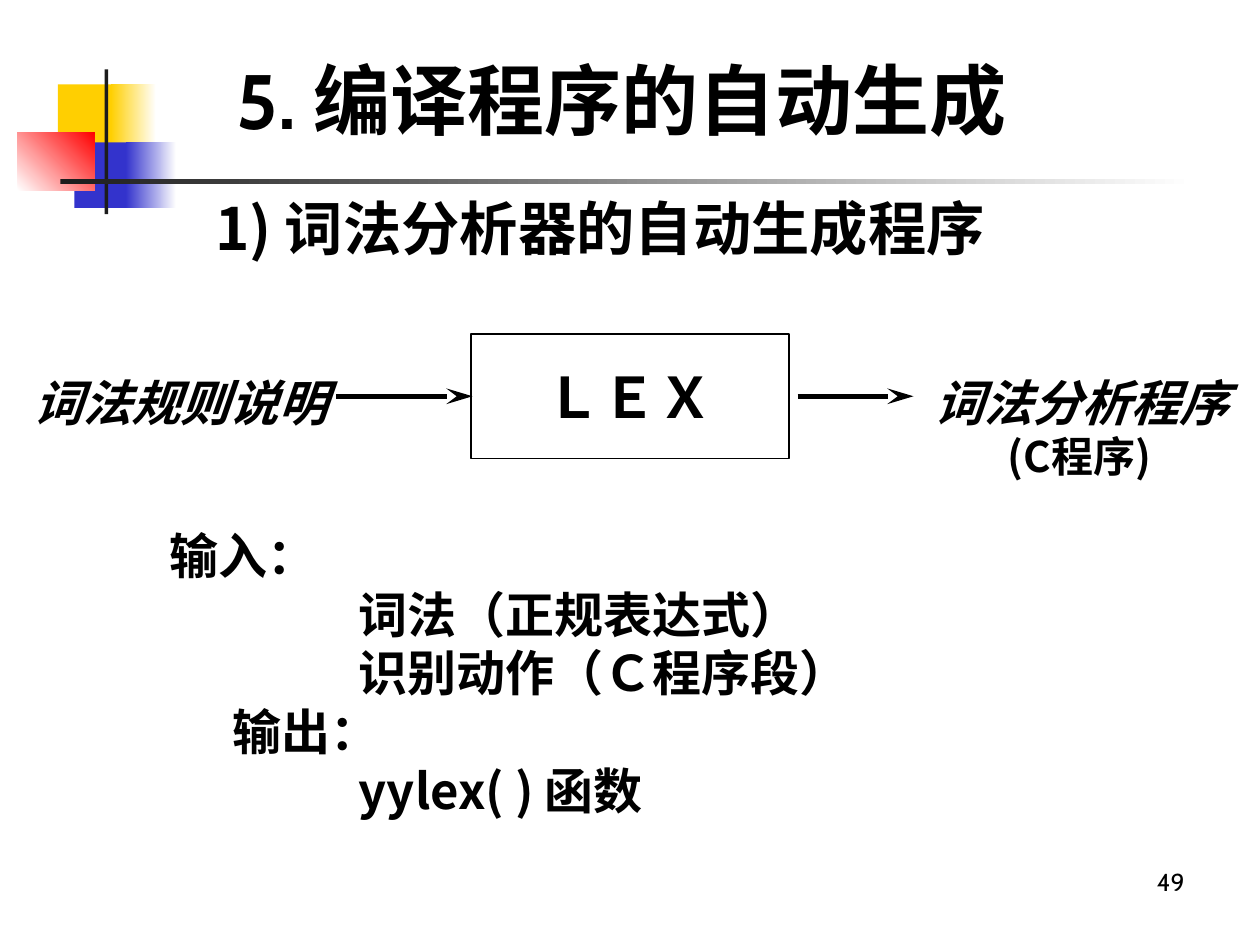
from dataclasses import dataclass

from lxml.etree import SubElement
from pptx import Presentation
from pptx.dml.color import RGBColor
from pptx.enum.shapes import MSO_CONNECTOR, MSO_SHAPE
from pptx.enum.text import MSO_ANCHOR, MSO_AUTO_SIZE, PP_ALIGN
from pptx.oxml.ns import qn
from pptx.util import Inches, Pt


@dataclass(frozen=True)
class Theme:
    ink: str = "000000"
    bar: str = "1C1C1C"
    paper: str = "FFFFFF"
    yellow: str = "FFCF01"
    blue: str = "3333CC"
    red: str = "FF0000"
    title_font: str = "Cabin"
    cjk_font: str = "Noto Sans CJK SC"
    label_font: str = "Times New Roman"
    title_size: float = 44
    heading_size: float = 33.3
    tool_size: float = 32
    text_size: float = 28
    note_size: float = 24
    number_size: float = 14


THEME = Theme()


def color(value):
    return RGBColor.from_string(value)


def place(shape, box):
    shape.left, shape.top, shape.width, shape.height = map(Inches, box)


def add_run(paragraph, text, size, font, bold=True, italic=False):
    run = paragraph.add_run()
    run.text = text
    run.font.size = Pt(size)
    run.font.name = font
    run.font.bold = bold
    run.font.italic = italic
    run.font.color.rgb = color(THEME.ink)
    east_asian = SubElement(run.font._element, qn("a:ea"))
    east_asian.set("typeface", THEME.cjk_font)


def add_text(slide, box, text, size, font, align=PP_ALIGN.LEFT, **style):
    shape = slide.shapes.add_textbox(*map(Inches, box))
    shape.text_frame.word_wrap = True
    paragraph = shape.text_frame.paragraphs[0]
    paragraph.alignment = align
    add_run(paragraph, text, size, font, **style)
    return shape


def add_block(slide, box, start, end=None, angle=0):
    """Add a borderless rectangle, plain or fading from start to end."""
    shape = slide.shapes.add_shape(MSO_SHAPE.RECTANGLE, *map(Inches, box))
    shape.shadow.inherit = False
    shape.line.fill.background()
    if end is None:
        shape.fill.solid()
        shape.fill.fore_color.rgb = color(start)
        return
    shape.fill.gradient()
    shape.fill.gradient_angle = angle
    for stop, value, position in zip(shape.fill.gradient_stops, (start, end), (0, 1)):
        stop.color.rgb = color(value)
        stop.position = position


def add_arrow(slide, start, end, y):
    arrow = slide.shapes.add_connector(
        MSO_CONNECTOR.STRAIGHT, Inches(start), Inches(y), Inches(end), Inches(y))
    arrow.line.color.rgb = color(THEME.ink)
    arrow.line.width = Pt(3)
    head = SubElement(arrow.line._get_or_add_ln(), qn("a:tailEnd"))
    for name, value in (("type", "stealth"), ("w", "med"), ("len", "lg")):
        head.set(name, value)
    SubElement(arrow._element.spPr, qn("a:effectLst"))


def add_ornament(slide, box):
    left, top, width, height = box
    block = 0.52
    lower = top + 0.58
    add_block(slide, (left + 0.32, top + 0.12, 0.48, block), THEME.yellow)
    add_block(slide, (left + 0.74, top + 0.12, 0.36, block), THEME.yellow, THEME.paper)
    add_block(slide, (left + 0.45, lower, 0.46, block), THEME.blue)
    add_block(slide, (left + 0.86, lower, 0.4, block), THEME.blue, THEME.paper)
    add_block(slide, (left, top + 0.5, 0.61, 0.46), THEME.paper, THEME.red, 45)
    add_block(slide, (left + 0.69, top, 0.03, height), THEME.bar)
    add_block(slide, (left + 0.34, top + 0.87, width - 0.34, 0.04), THEME.bar, THEME.paper)


def add_title(slide, box):
    title = slide.shapes.title
    place(title, box)
    frame = title.text_frame
    frame.auto_size = MSO_AUTO_SIZE.NONE
    frame.vertical_anchor = MSO_ANCHOR.MIDDLE
    paragraph = frame.paragraphs[0]
    paragraph.alignment = PP_ALIGN.LEFT
    add_run(paragraph, "5. 编译程序的自动生成", THEME.title_size, THEME.title_font)


def add_heading(slide, box):
    heading = add_text(slide, box, "1) 词法分析器的自动生成程序",
                       THEME.heading_size, THEME.cjk_font)
    heading.text_frame.paragraphs[0].line_spacing = 0.9


def add_tool(slide, box):
    shape = slide.shapes.add_shape(MSO_SHAPE.RECTANGLE, *map(Inches, box))
    shape.shadow.inherit = False
    shape.fill.background()
    shape.line.color.rgb = color(THEME.ink)
    shape.line.width = Pt(1)
    frame = shape.text_frame
    frame.word_wrap = False
    frame.vertical_anchor = MSO_ANCHOR.MIDDLE
    paragraph = frame.paragraphs[0]
    paragraph.alignment = PP_ALIGN.CENTER
    add_run(paragraph, "ＬＥＸ", THEME.tool_size, THEME.label_font)


def add_flow(slide, box):
    """Add the row that runs from rules through the tool to the analyser."""
    left, top, width, height = box
    middle = top + height / 2
    label_top = top + 0.26
    add_tool(slide, (left + 3.57, top, 2.52, height))
    add_arrow(slide, left + 2.5, left + 3.58, middle)
    add_arrow(slide, left + 6.16, left + 7.08, middle)
    for text, offset, label_width in (("词法规则说明", 0, 3.44),
                                      ("词法分析程序", 7.15, width - 7.15)):
        add_text(slide, (left + offset, label_top, label_width, 0.57), text,
                 THEME.text_size, THEME.label_font, italic=True)
    add_text(slide, (left + 7.73, top + 0.72, 1.67, 0.5), "(C程序)",
             THEME.note_size, THEME.cjk_font)


def add_input_output(slide, box):
    shape = slide.shapes.add_textbox(*map(Inches, box))
    frame = shape.text_frame
    frame.word_wrap = True
    lines = (("输入：", 0), ("词法（正规表达式）", 1.5), ("识别动作（Ｃ程序段）", 1.5),
             ("输出：", 0.5), ("yylex( ) 函数", 1.5))
    for index, (text, indent) in enumerate(lines):
        paragraph = frame.add_paragraph() if index else frame.paragraphs[0]
        properties = paragraph._p.get_or_add_pPr()
        properties.set("marL", str(Inches(indent)))
        properties.set("indent", "0")
        add_run(paragraph, text, THEME.text_size, THEME.cjk_font)


def main():
    presentation = Presentation()
    presentation.slide_width = Inches(10)
    presentation.slide_height = Inches(7.5)
    slide = presentation.slides.add_slide(presentation.slide_layouts[5])
    add_ornament(slide, (0.14, 0.55, 9.34, 1.15))
    add_text(slide, (7.17, 6.83, 2.33, 0.52), "49", THEME.number_size,
             THEME.title_font, PP_ALIGN.RIGHT, bold=False)
    add_title(slide, (1.78, 0.44, 7.7, 0.69))
    add_heading(slide, (1.61, 1.54, 7.16, 0.75))
    add_flow(slide, (0.17, 2.65, 9.83, 0.99))
    add_input_output(slide, (1.25, 4.12, 6.02, 2.44))
    presentation.save("out.pptx")


if __name__ == "__main__":
    main()
